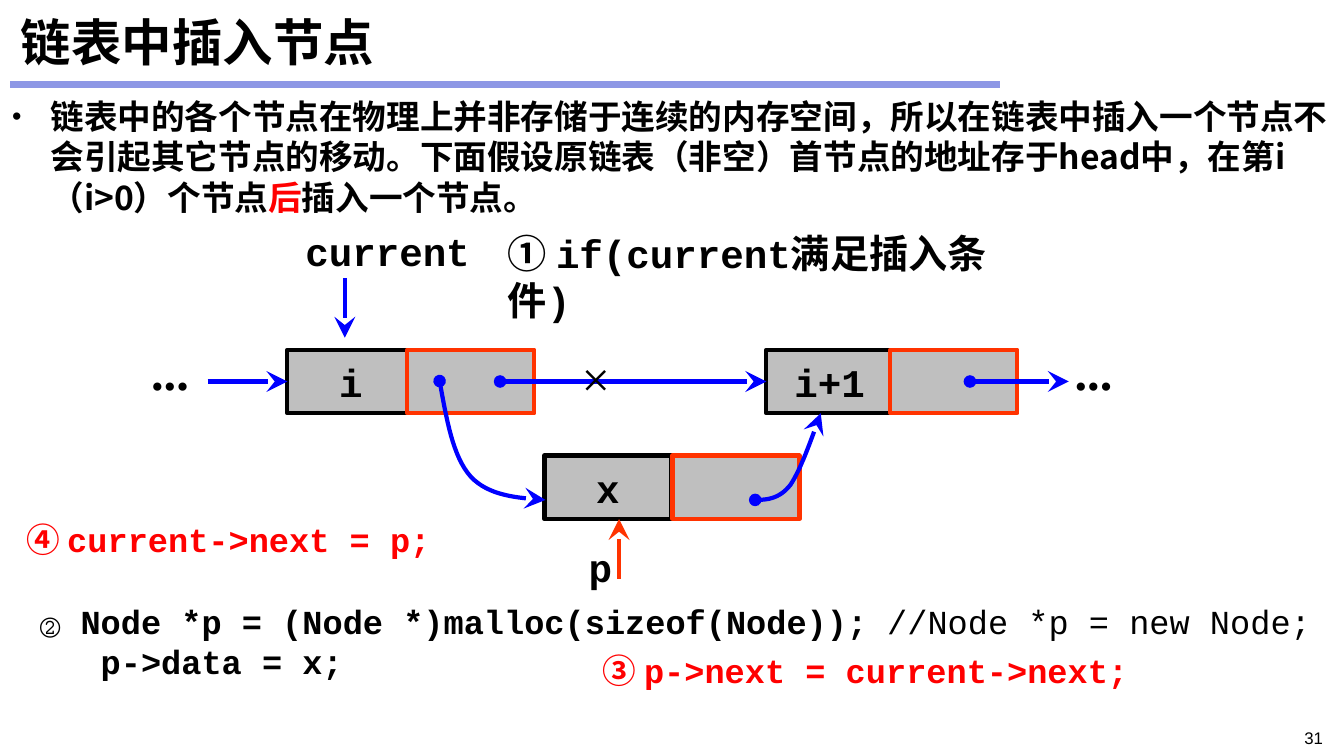
from pptx import Presentation
from pptx.dml.color import RGBColor
from pptx.enum.shapes import MSO_CONNECTOR, MSO_SHAPE
from pptx.enum.text import MSO_ANCHOR, PP_ALIGN
from pptx.oxml.ns import qn
from pptx.util import Inches, Pt
from lxml.etree import SubElement

BLACK = RGBColor(0, 0, 0)
RED = RGBColor(255, 0, 0)
ORANGE = RGBColor(255, 51, 0)
BLUE = RGBColor(0, 0, 255)
GRAY = RGBColor(191, 191, 191)
LILAC = RGBColor(141, 151, 229)
SANS, CODE, SERIF = "Noto Sans CJK SC", "Courier New", "Times New Roman"

TITLE = "链表中插入节点"
INTRO = [
    ("链表中的各个节点在物理上并非存储于连续的内存空间，所以在链表中插入一个节点不会引起其它节点的移动。"
     "下面假设原链表（非空）首节点的地址存于head中，在第i（i>0）个节点", {}),
    ("后", {"color": RED}),
    ("插入一个节点。", {}),
]
ALLOCATE = [
    [("② Node *p = (Node *)malloc(sizeof(Node)); ", {}),
     ("//Node *p = new Node;", {"bold": False})],
    [("   p->data = x;", {})],
]
STEPS = [
    ("① ", "if(current满足插入条件)", (4.94, 2.23, 5.2, 0.57), 28, BLACK),
    ("③ ", "p->next = current->next;", (5.88, 6.4, 5.55, 0.5), 24, RED),
    ("④ ", "current->next = p;", (0.16, 5.1, 4.34, 0.5), 24, RED),
]
ROW, NEW_ROW = 3.47, 4.52
CELL_W, CELL_H = 1.26, 0.63
LINK_Y = ROW + CELL_H / 2
NODES = [("i", 2.85, 4.04, ROW), ("i+1", 7.6, 8.83, ROW), ("x", 5.4, 6.67, NEW_ROW)]
POINTER_NAMES = [("current", (2.93, 2.21, 1.85, 0.57)), ("p", (5.74, 5.34, 0.44, 0.57))]
ELLIPSES = [1.4, 10.56]
ARROWS = [
    ((2.06, LINK_Y), (2.85, LINK_Y), BLUE, None),
    ((4.96, LINK_Y), (7.6, LINK_Y), BLUE, "oval"),
    ((9.62, LINK_Y), (10.6, LINK_Y), BLUE, "oval"),
    ((3.42, 2.76), (3.42, 3.35), BLUE, None),
    ((6.14, 5.74), (6.14, NEW_ROW + CELL_H), ORANGE, None),
]
CURVES = [
    [(7.49, 4.96), (7.61, 4.96), (7.73, 4.95), (7.84, 4.81),
     (7.94, 4.66), (8.04, 4.38), (8.14, 4.1)],
    [(4.36, 3.78), (4.43, 4.16), (4.49, 4.53), (4.67, 4.73),
     (4.85, 4.92), (5.13, 4.94), (5.41, 4.96)],
]
END_SIZES = {"oval": "med", "stealth": "lg"}

deck = Presentation()
deck.slide_width, deck.slide_height = Inches(13.33), Inches(7.5)
slide = deck.slides.add_slide(deck.slide_layouts[6])
shapes = slide.shapes


def write(frame, paragraphs, size=28, font=CODE, color=BLACK, bold=True,
          align=PP_ALIGN.LEFT, anchor=MSO_ANCHOR.TOP, wrap=True, insets=(0.1, 0.05)):
    if isinstance(paragraphs, str):
        paragraphs = [[(paragraphs, {})]]
    frame.word_wrap, frame.vertical_anchor = wrap, anchor
    frame.margin_left = frame.margin_right = Inches(insets[0])
    frame.margin_top = frame.margin_bottom = Inches(insets[1])
    for index, runs in enumerate(paragraphs):
        paragraph = frame.add_paragraph() if index else frame.paragraphs[0]
        paragraph.alignment = align
        for words, change in runs:
            run = paragraph.add_run()
            run.text = words
            run.font.size, run.font.bold = Pt(size), change.get("bold", bold)
            run.font.color.rgb = change.get("color", color)
            run.font.name = change.get("font", font)
            SubElement(run.font._element, qn("a:ea"), typeface=run.font.name)
    return frame


def text_box(place, paragraphs, **style):
    box = shapes.add_textbox(*map(Inches, place))
    return write(box.text_frame, paragraphs, **style)


def stroke(shape, color, width=3, head=None, tail=None):
    shape.line.color.rgb, shape.line.width = color, Pt(width)
    for tag, kind in (("a:headEnd", head), ("a:tailEnd", tail)):
        if kind:
            SubElement(shape.line._get_or_add_ln(), qn(tag), type=kind,
                       w=END_SIZES[kind], len=END_SIZES[kind])


def connect(start, end, color, **style):
    link = shapes.add_connector(MSO_CONNECTOR.STRAIGHT, *map(Inches, start + end))
    stroke(link, color, **style)
    SubElement(link._element.spPr, qn("a:effectLst"))


def cell(left, top, color, label=""):
    box = shapes.add_shape(MSO_SHAPE.RECTANGLE, *map(Inches, (left, top, CELL_W, CELL_H)))
    box.shadow.inherit = False
    box.fill.solid()
    box.fill.fore_color.rgb = GRAY
    stroke(box, color)
    if label:
        write(box.text_frame, label, align=PP_ALIGN.CENTER, anchor=MSO_ANCHOR.MIDDLE, wrap=False)


def bezier(a, b, c, d, steps=16):
    for step in range(1, steps + 1):
        t = step / steps
        u = 1 - t
        yield tuple(Inches(u**3 * p + 3 * u * u * t * q + 3 * u * t * t * r + t**3 * s)
                    for p, q, r, s in zip(a, b, c, d))


def curve(points):
    builder = shapes.build_freeform(*map(Inches, points[0]))
    for first in range(0, len(points) - 1, 3):
        builder.add_line_segments(bezier(*points[first:first + 4]), close=False)
    path = builder.convert_to_shape()
    path.shadow.inherit = False
    path.fill.background()
    stroke(path, BLUE, head="oval", tail="stealth")


connect((0.1, 0.84), (9.92, 0.84), LILAC, width=4.5)
text_box((0.11, 0.08, 13.11, 0.67), TITLE, size=36, font=SANS, anchor=MSO_ANCHOR.MIDDLE)
intro = text_box((0.1, 0.94, 13.12, 2.02), [INTRO], size=24, font=SANS, insets=(0.02, 0.01))
bullet = intro.paragraphs[0]._p.get_or_add_pPr()
bullet.set("marL", str(Inches(0.38)))
bullet.set("indent", str(-Inches(0.38)))
SubElement(bullet, qn("a:buSzPct"), val="80000")
SubElement(bullet, qn("a:buFont"), typeface="Arial")
SubElement(bullet, qn("a:buChar"), char="•")

for label, data_left, next_left, top in NODES:
    cell(data_left, top, BLACK, label)
    cell(next_left, top, ORANGE)
for left in ELLIPSES:
    text_box((left, 3.32, 0.58, 0.71), "...", size=36, font=SERIF, wrap=False)
for name, place in POINTER_NAMES:
    text_box(place, name, wrap=False)
for number, code, place, size, color in STEPS:
    text_box(place, [[(number, {"font": SANS}), (code, {})]], size=size, color=color)
text_box((0.3, 5.91, 12.92, 0.91), ALLOCATE, size=24)
for start, end, color, head in ARROWS:
    connect(start, end, color, head=head, tail="stealth")
for points in CURVES:
    curve(points)
text_box((5.67, 3.39, 1, 0.7), "×", size=36, font=SERIF, bold=False)
text_box((11.91, 7.17, 1.31, 0.25), "31", size=12, font="Arial", bold=False, align=PP_ALIGN.RIGHT)

deck.save("out.pptx")
